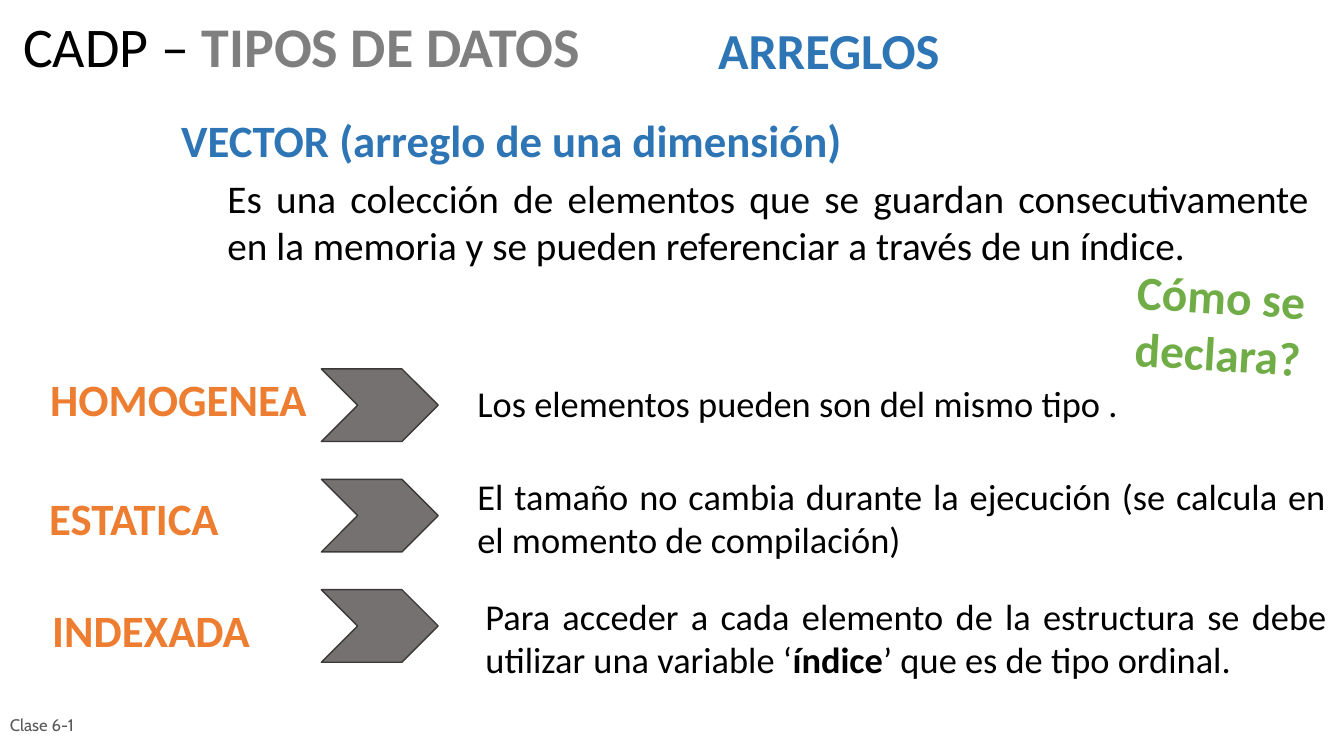
from pptx import Presentation
from pptx.dml.color import RGBColor
from pptx.enum.shapes import MSO_SHAPE
from pptx.enum.text import MSO_ANCHOR, MSO_AUTO_SIZE, PP_ALIGN
from pptx.util import Inches, Pt

BLACK = RGBColor(0x00, 0x00, 0x00)
GRAY = RGBColor(0x7F, 0x7F, 0x7F)
FOOTER_GRAY = RGBColor(0x59, 0x59, 0x59)
BLUE = RGBColor(0x2E, 0x75, 0xB6)
ORANGE = RGBColor(0xED, 0x7D, 0x31)
GREEN = RGBColor(0x70, 0xAD, 0x47)
CHEVRON_FILL = RGBColor(0x76, 0x71, 0x71)
CHEVRON_LINE = RGBColor(0x3B, 0x38, 0x38)

CHEVRON_TOP, CHEVRON_STEP = 3.66, 1.095

PROPERTIES = [
    ("HOMOGENEA", (0.4, 3.64, 2.75, 0.64),
     ["Los elementos pueden son del mismo tipo ."], (4.64, 3.73, 8.49, 0.54)),
    ("ESTATICA", (0.39, 4.82, 2.12, 0.64),
     ["El tamaño no cambia durante la ejecución (se calcula en el momento de compilación)"],
     (4.64, 4.65, 8.63, 0.97)),
    ("INDEXADA", (0.42, 5.93, 2.18, 0.64),
     ["Para acceder a cada elemento de la estructura se debe utilizar una variable ‘",
      "índice", "’ que es de tipo ordinal."],
     (4.72, 5.84, 8.56, 0.97)),
]


def style_run(run, size, color, bold=False, font="Calibri"):
    run.font.name = font
    run.font.size = Pt(size)
    run.font.bold = bold
    run.font.color.rgb = color


def add_text(slide, box, pieces, size, color, bold=False, font="Calibri",
             align=PP_ALIGN.JUSTIFY, anchor=MSO_ANCHOR.TOP):
    label = slide.shapes.add_textbox(*map(Inches, box))
    frame = label.text_frame
    frame.word_wrap = True
    frame.vertical_anchor = anchor
    paragraph = frame.paragraphs[0]
    paragraph.alignment = align
    for index, piece in enumerate(pieces):
        run = paragraph.add_run()
        run.text = piece
        style_run(run, size, color, bold or index % 2 == 1, font)
    return label


def fill_title(slide):
    title = slide.shapes.title
    title.left, title.top, title.width, title.height = map(Inches, (0.13, 0.14, 6.77, 0.76))
    frame = title.text_frame
    frame.auto_size = MSO_AUTO_SIZE.NONE
    frame.vertical_anchor = MSO_ANCHOR.TOP
    paragraph = frame.paragraphs[0]
    paragraph.alignment = PP_ALIGN.LEFT
    paragraph.line_spacing = 0.9
    for text, color, bold in (("CADP – ", BLACK, False), ("TIPOS DE DATOS", GRAY, True)):
        run = paragraph.add_run()
        run.text = text
        style_run(run, 40, color, bold)


def add_chevron(slide, top):
    chevron = slide.shapes.add_shape(
        MSO_SHAPE.CHEVRON, Inches(3.19), Inches(top), Inches(1.16), Inches(0.72))
    chevron.shadow.inherit = False
    chevron.fill.solid()
    chevron.fill.fore_color.rgb = CHEVRON_FILL
    chevron.line.color.rgb = CHEVRON_LINE
    chevron.line.width = Pt(1)


def main():
    deck = Presentation()
    deck.slide_width, deck.slide_height = Inches(13.34), Inches(7.5)
    slide = deck.slides.add_slide(deck.slide_layouts.get_by_name("Title Only"))

    fill_title(slide)
    add_text(slide, (7.03, 0.14, 4.41, 0.7), ["ARREGLOS"], 36, BLUE, bold=True)
    add_text(slide, (0, 6.99, 2.33, 0.4), ["Clase 6-1"], 12, FOOTER_GRAY,
             font="Cabin", align=PP_ALIGN.LEFT, anchor=MSO_ANCHOR.MIDDLE)
    add_text(slide, (1.7, 1.07, 6.77, 0.64), ["VECTOR (arreglo de una dimensión)"],
             32, BLUE, bold=True)
    add_text(slide, (2.16, 1.68, 10.93, 1.04),
             ["Es una colección de elementos que se guardan consecutivamente "
              "en la memoria y se pueden referenciar a través de un índice."], 28, BLACK)

    for row, (name, name_box, meaning, meaning_box) in enumerate(PROPERTIES):
        add_text(slide, name_box, [name], 32, ORANGE, bold=True)
        add_text(slide, meaning_box, meaning, 26, BLACK)
        add_chevron(slide, CHEVRON_TOP + row * CHEVRON_STEP)

    question = add_text(slide, (11.15, 2.6, 1.91, 1.24), ["Cómo se declara?"],
                        34, GREEN, bold=True, align=PP_ALIGN.CENTER)
    question.rotation = 3.6

    deck.save("out.pptx")


if __name__ == "__main__":
    main()
